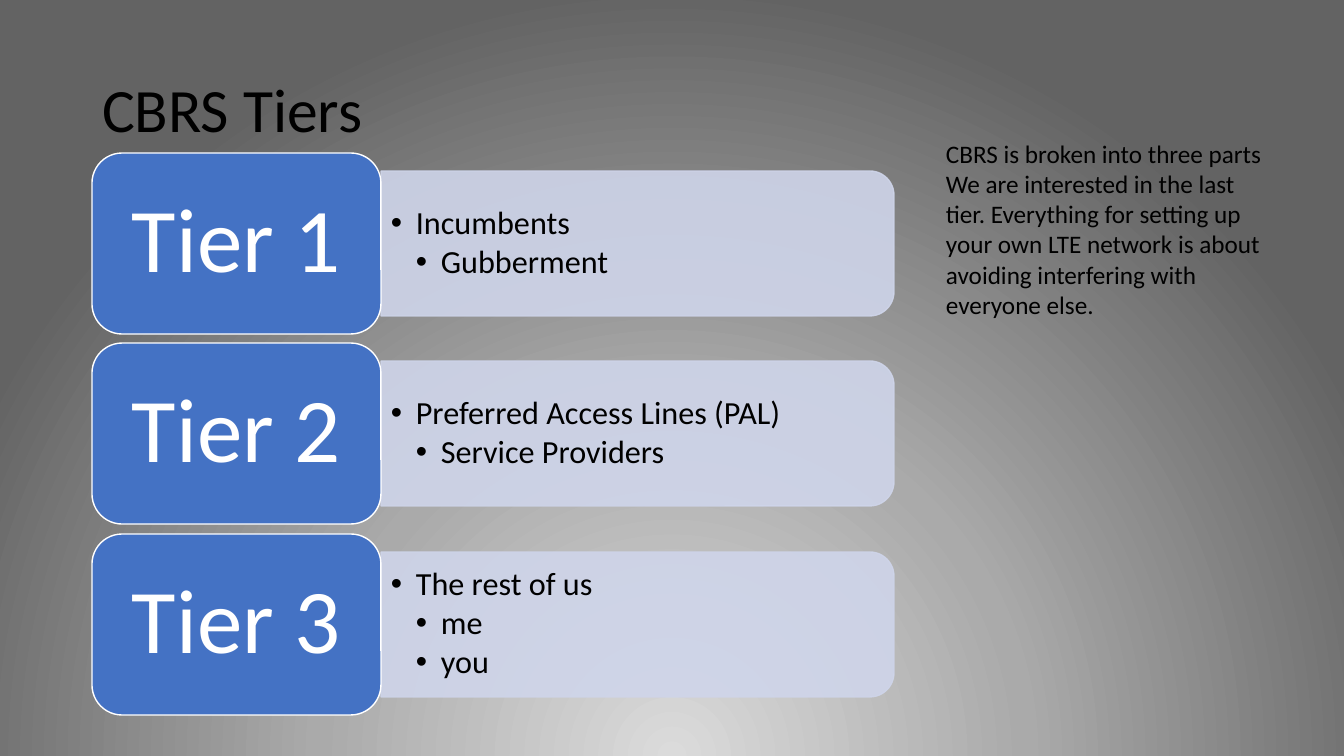
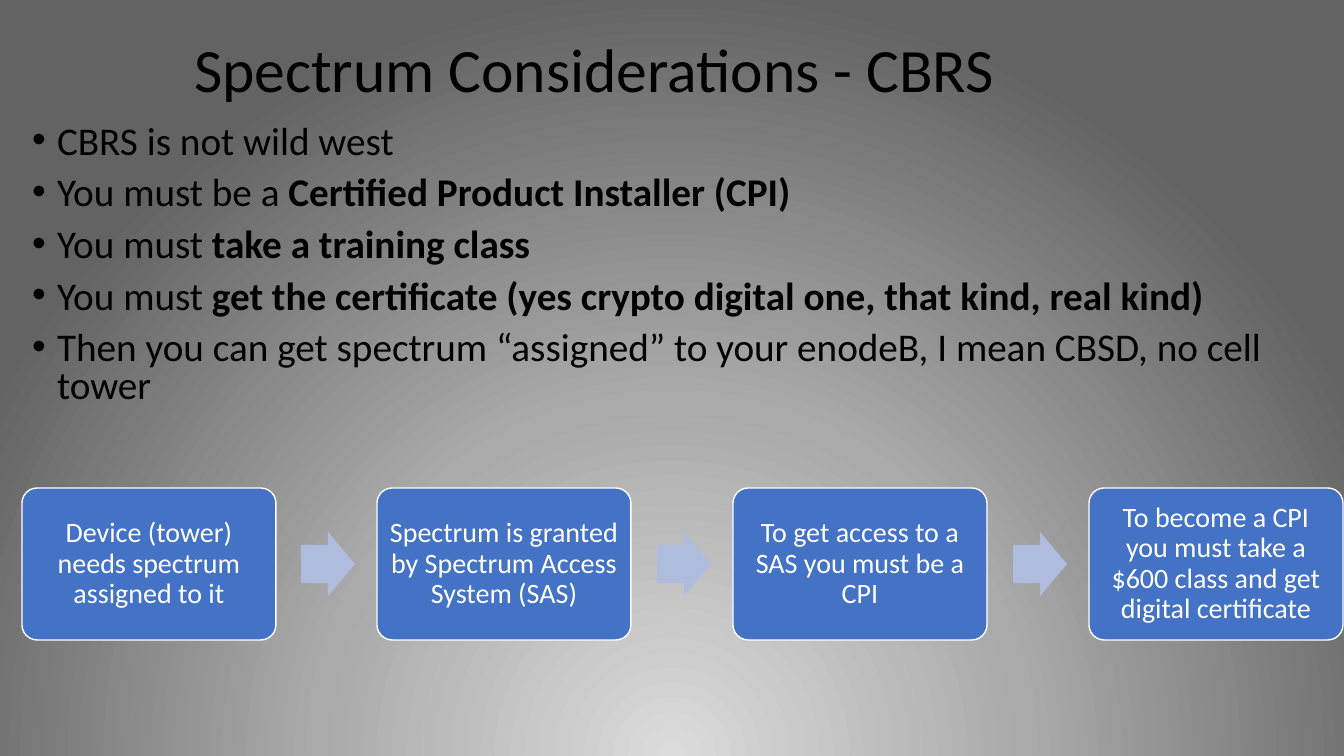
from pptx import Presentation
from pptx.dml.color import RGBColor
from pptx.enum.shapes import MSO_SHAPE
from pptx.enum.text import MSO_ANCHOR, MSO_AUTO_SIZE, PP_ALIGN
from pptx.oxml import parse_xml
from pptx.oxml.ns import nsdecls, qn
from pptx.util import Pt

ROUNDED, ARROW = MSO_SHAPE.ROUNDED_RECTANGLE, MSO_SHAPE.RIGHT_ARROW
ROUND_TWO = MSO_SHAPE.ROUND_2_SAME_RECTANGLE
LEFT, CENTER = PP_ALIGN.LEFT, PP_ALIGN.CENTER
TOP, MIDDLE = MSO_ANCHOR.TOP, MSO_ANCHOR.MIDDLE
NO_FIT = MSO_AUTO_SIZE.NONE

# Shared look
PX = 9071  # EMU in one px
INDENT = 25
FONT = "Calibri"
BLACK, WHITE, BLUE = "000000", "FFFFFF", "4472C4"
PALE_BLUE, ARROW_BLUE = "CFD5EA", "B0BCDE"
BACKGROUND_STOPS = {0: "DBDBDB", 46: "AAAAAA", 100: "636363"}
TITLE = {"size": 44, "colour": BLACK, "anchor": MIDDLE,
         "paragraph": {"alignment": LEFT, "line_spacing": 0.9}}
NOTE = {"size": 18, "colour": BLACK, "anchor": TOP, "paragraph": {"alignment": LEFT}}
BODY = {"size": 28, "colour": BLACK, "anchor": TOP,
        "paragraph": {"alignment": LEFT, "line_spacing": 0.8, "space_before": Pt(10)}}
PANEL = {"size": 23, "colour": BLACK, "anchor": MIDDLE,
         "paragraph": {"alignment": LEFT, "line_spacing": 0.9, "space_after": Pt(3)}}
CARD = {"colour": WHITE, "anchor": MIDDLE,
        "paragraph": {"alignment": CENTER, "line_spacing": 0.9}}
TIER = {**CARD, "size": 65, "margin": 14}
STEP = {**CARD, "size": 20, "margin": 8}


def add_filled_shape(slide, preset, box, fill, line=None):
    shape = slide.shapes.add_shape(preset, *[value * PX for value in box])
    shape.shadow.inherit = False
    shape.fill.solid()
    shape.fill.fore_color.rgb = RGBColor.from_string(fill)
    if line:
        shape.line.color.rgb = RGBColor.from_string(line)
        shape.line.width = Pt(1)
    else:
        shape.line.fill.background()
    return shape


def write(shape, paragraphs, style):
    """Write (bullet level, plain text, bold text) paragraphs; level 0 has no bullet."""
    frame = shape.text_frame
    frame.word_wrap = True
    frame.auto_size = NO_FIT
    frame.vertical_anchor = style["anchor"]
    if "margin" in style:
        for side in ("left", "top", "right", "bottom"):
            setattr(frame, f"margin_{side}", style["margin"] * PX)
    for index, (level, plain, bold) in enumerate(paragraphs):
        paragraph = frame.add_paragraph() if index else frame.paragraphs[0]
        if level:
            properties = paragraph._p.get_or_add_pPr()
            properties.set("marL", str(level * INDENT * PX))
            properties.set("indent", str(-INDENT * PX))
            properties.append(parse_xml(f'<a:buFont {nsdecls("a")} typeface="Arial"/>'))
            properties.append(parse_xml(f'<a:buChar {nsdecls("a")} char="•"/>'))
        for name, value in style["paragraph"].items():
            setattr(paragraph, name, value)
        if index == 0:
            paragraph.space_before = Pt(0)
        for text, is_bold in ((plain, False), (bold, True)):
            if text:
                run = paragraph.add_run()
                run.text = text
                run.font.color.rgb = RGBColor.from_string(style["colour"])
                formats = {"name": FONT, "size": Pt(style["size"]), "bold": is_bold}
                for name, value in formats.items():
                    setattr(run.font, name, value)


presentation = Presentation()
presentation.slide_width, presentation.slide_height = 1344 * PX, 756 * PX

# Radial background on the master
stops = "".join(
    f'<a:gs pos="{position * 1000}"><a:srgbClr val="{value}"/></a:gs>'
    for position, value in BACKGROUND_STOPS.items())
common_data = presentation.slide_master._element.cSld
for old_background in common_data.findall(qn("p:bg")):
    common_data.remove(old_background)
common_data.insert(0, parse_xml(
    f'<p:bg {nsdecls("p", "a")}><p:bgPr><a:gradFill rotWithShape="1">'
    f'<a:gsLst>{stops}</a:gsLst><a:path path="circle">'
    '<a:fillToRect l="50000" t="130000" r="50000" b="-30000"/></a:path>'
    '</a:gradFill><a:effectLst/></p:bgPr></p:bg>'))

# Slides with their titles
slides = []
for layout_index, left, top, title_text in (
        (5, 92, 40, "CBRS Tiers"),
        (1, 184, 0, "Spectrum Considerations - CBRS")):
    slide = presentation.slides.add_slide(presentation.slide_layouts[layout_index])
    title = slide.shapes.title
    title.left, title.top, title.width, title.height = (
        left * PX, top * PX, 1159 * PX, 146 * PX)
    write(title, [(0, title_text, "")], TITLE)
    slides.append(slide)
tiers_slide, spectrum_slide = slides

# Tier cards with their panels
tiers = [
    ("Tier 1", ["Incumbents", "Gubberment"]),
    ("Tier 2", ["Preferred Access Lines (PAL)", "Service Providers"]),
    ("Tier 3", ["The rest of us", "me", "you"]),
]
for index, (name, lines) in enumerate(tiers):
    top = 153 + index * 381 // 2
    # The panel is drawn upright and turned so that its round corners face right
    panel = add_filled_shape(tiers_slide, ROUND_TWO, (565, top - 166, 145, 513),
                             PALE_BLUE, PALE_BLUE)
    panel.rotation = 90
    for colour_element in panel._element.spPr.iter(qn("a:srgbClr")):
        colour_element.append(parse_xml(f'<a:alpha {nsdecls("a")} val="90000"/>'))
    panel_text = tiers_slide.shapes.add_textbox(381 * PX, (top + 25) * PX, 506 * PX, 131 * PX)
    write(panel_text, [(2 if position else 1, line, "")
                       for position, line in enumerate(lines)], PANEL)
    card = add_filled_shape(tiers_slide, ROUNDED, (92, top, 289, 181), BLUE, WHITE)
    write(card, [(0, name, "")], TIER)

# Side note
note = tiers_slide.shapes.add_textbox(936 * PX, 133 * PX, 337 * PX, 194 * PX)
write(note, [
    (0, "CBRS is broken into three parts", ""),
    (0, "We are interested in the last tier. Everything for setting up your own "
        "LTE network is about avoiding interfering with everyone else.", ""),
], NOTE)

# Rules for using the spectrum
body = spectrum_slide.placeholders[1]
body.left, body.top, body.width, body.height = 22 * PX, 120 * PX, 1305 * PX, 292 * PX
write(body, [
    (1, "CBRS is not wild west", ""),
    (1, "You must be a ", "Certified Product Installer (CPI)"),
    (1, "You must ", "take a training class"),
    (1, "You must ", "get the certificate (yes crypto digital one, that kind, real kind)"),
    (1, "Then you can get spectrum “assigned” to your enodeB, I mean CBSD, no cell tower", ""),
], BODY)

# Process steps with arrows between them
steps = [
    "Device (tower) needs spectrum assigned to it",
    "Spectrum is granted by Spectrum Access System (SAS)",
    "To get access to a SAS you must be a CPI",
    "To become a CPI you must take a $600 class and get digital certificate",
]
for index, step_text in enumerate(steps):
    left = 22 + index * 1067 // 3
    if index:
        arrow = add_filled_shape(spectrum_slide, ARROW, (left - 76, 532, 54, 64), ARROW_BLUE)
        arrow.adjustments[0] = 0.6
        arrow.adjustments[1] = 0.5
    step = add_filled_shape(spectrum_slide, ROUNDED, (left, 488, 254, 152), BLUE, WHITE)
    step.adjustments[0] = 0.1
    write(step, [(0, step_text, "")], STEP)

presentation.save("out.pptx")
